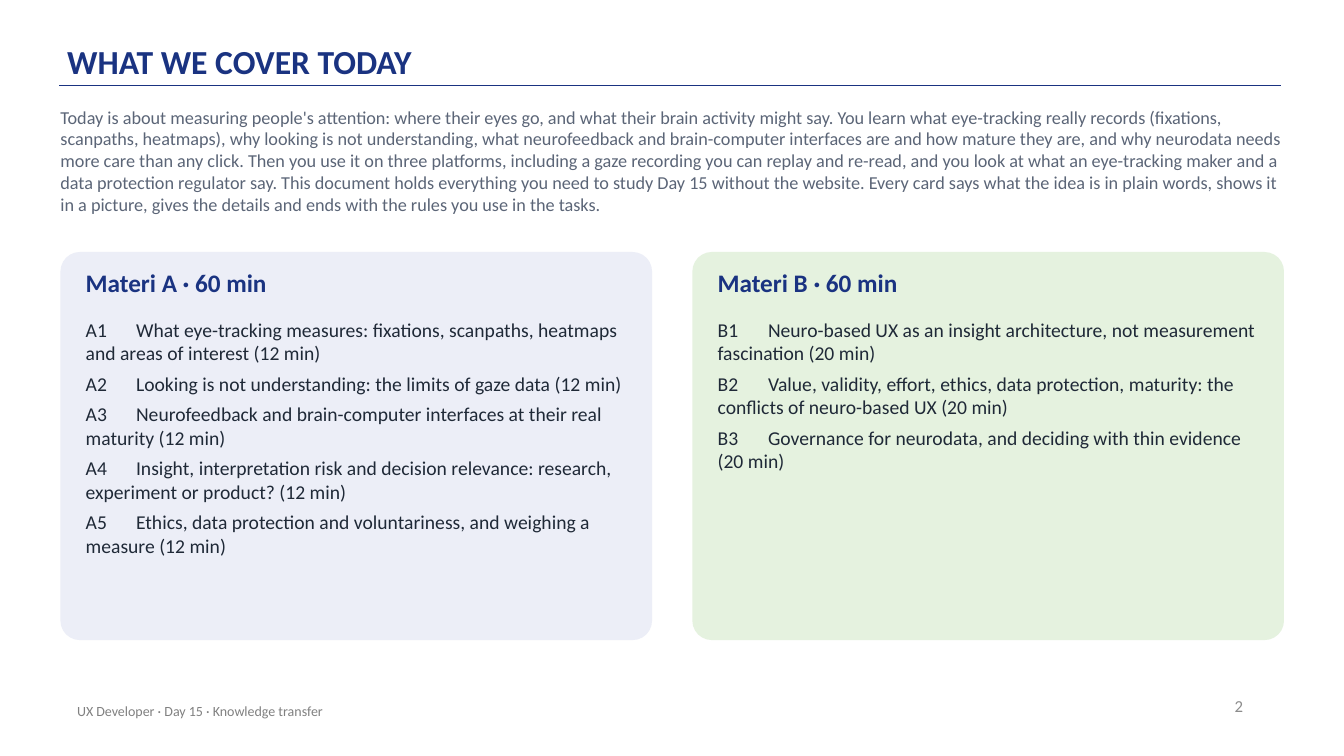
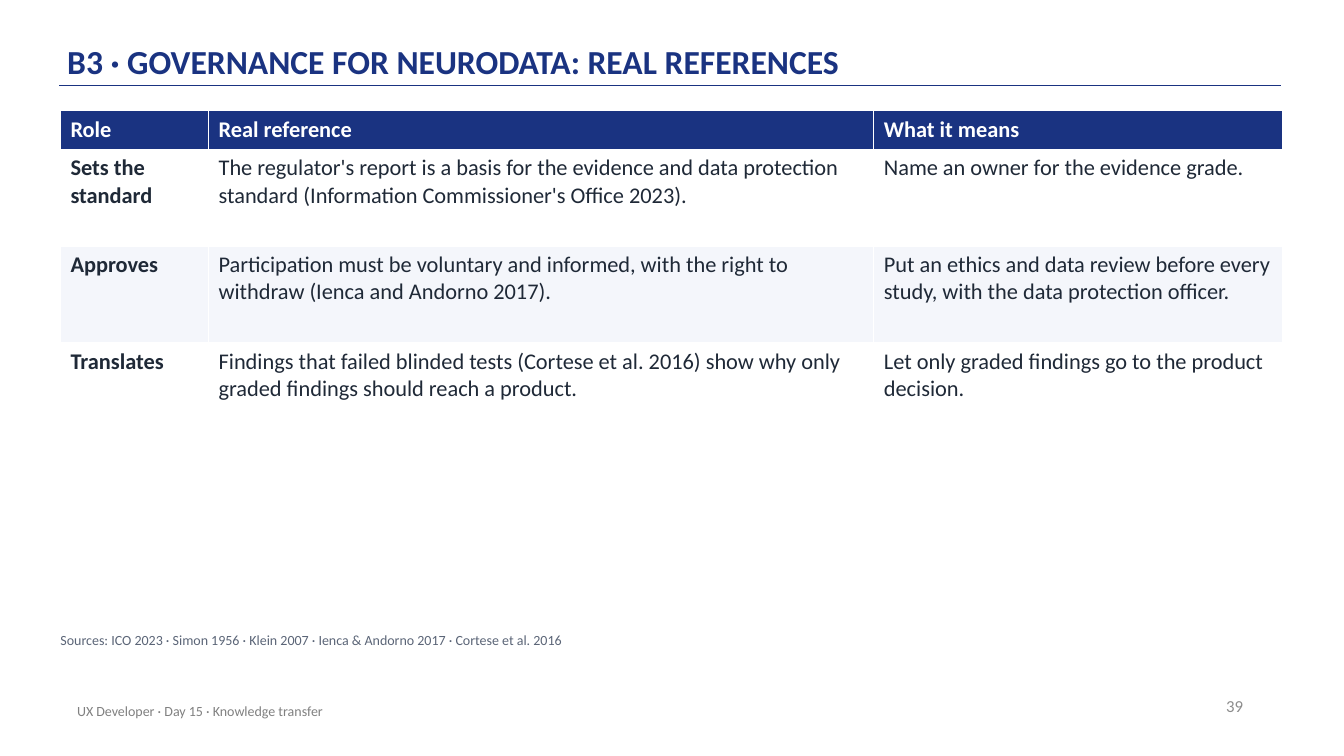
from lxml.etree import SubElement
from pptx import Presentation
from pptx.dml.color import RGBColor
from pptx.enum.shapes import MSO_CONNECTOR, MSO_SHAPE
from pptx.enum.text import MSO_ANCHOR, MSO_AUTO_SIZE, PP_ALIGN
from pptx.oxml.ns import qn
from pptx.util import Pt

COLORS = {
    "navy": "1A3381",
    "ink": "1F2937",
    "slate": "5B6577",
    "footer": "808080",
    "number": "8C8C8C",
    "white": "FFFFFF",
    "stripe": "F4F6FB",
    "lavender": "ECEEF7",
    "mint": "E5F2DF",
}
FONT = "Calibri"
LEFT, CONTENT_WIDTH = 43.2, 871.2
CARD_TOP, CARD_WIDTH, CARD_HEIGHT, CARD_GAP, CARD_PAD = 180, 422.6, 277.2, 28.8, 18
CODE_TAB = 21.5
TITLE_ONLY, COMPARISON = 5, 4

INTRO = (
    "Today is about measuring people's attention: where their eyes go, and what their brain "
    "activity might say. You learn what eye-tracking really records (fixations, scanpaths, "
    "heatmaps), why looking is not understanding, what neurofeedback and brain-computer "
    "interfaces are and how mature they are, and why neurodata needs more care than any click. "
    "Then you use it on three platforms, including a gaze recording you can replay and re-read, "
    "and you look at what an eye-tracking maker and a data protection regulator say. This "
    "document holds everything you need to study Day 15 without the website. Every card says "
    "what the idea is in plain words, shows it in a picture, gives the details and ends with "
    "the rules you use in the tasks."
)
MODULES = [
    ("Materi A · 60 min", "lavender", [
        ("A1", "What eye-tracking measures: fixations, scanpaths, heatmaps and areas of interest (12 min)"),
        ("A2", "Looking is not understanding: the limits of gaze data (12 min)"),
        ("A3", "Neurofeedback and brain-computer interfaces at their real maturity (12 min)"),
        ("A4", "Insight, interpretation risk and decision relevance: research, experiment or product? (12 min)"),
        ("A5", "Ethics, data protection and voluntariness, and weighing a measure (12 min)"),
    ]),
    ("Materi B · 60 min", "mint", [
        ("B1", "Neuro-based UX as an insight architecture, not measurement fascination (20 min)"),
        ("B2", "Value, validity, effort, ethics, data protection, maturity: the conflicts of neuro-based UX (20 min)"),
        ("B3", "Governance for neurodata, and deciding with thin evidence (20 min)"),
    ]),
]
REFERENCES = [
    ("Role", "Real reference", "What it means"),
    ("Sets the standard",
     "The regulator's report is a basis for the evidence and data protection standard "
     "(Information Commissioner's Office 2023).",
     "Name an owner for the evidence grade."),
    ("Approves",
     "Participation must be voluntary and informed, with the right to withdraw "
     "(Ienca and Andorno 2017).",
     "Put an ethics and data review before every study, with the data protection officer."),
    ("Translates",
     "Findings that failed blinded tests (Cortese et al. 2016) show why only graded findings "
     "should reach a product.",
     "Let only graded findings go to the product decision."),
]
COLUMN_WIDTHS = [105.8, 475.2, 292.3]
ROW_HEIGHTS = [27.6, 69.1, 69.1, 49.7]


def rgb(color):
    return RGBColor.from_string(COLORS[color])


def add_run(paragraph, text, size, color, bold=False):
    run = paragraph.add_run()
    run.text = text
    run.font.name = FONT
    run.font.size = Pt(size)
    run.font.bold = bold
    run.font.color.rgb = rgb(color)


def place(shape, left, top, width, height):
    shape.left, shape.top = Pt(left), Pt(top)
    shape.width, shape.height = Pt(width), Pt(height)


def format_frame(frame, anchor=MSO_ANCHOR.TOP, inset_x=0, inset_y=0):
    frame.word_wrap = True
    frame.auto_size = MSO_AUTO_SIZE.NONE
    frame.vertical_anchor = anchor
    frame.margin_left = frame.margin_right = Pt(inset_x)
    frame.margin_top = frame.margin_bottom = Pt(inset_y)


def add_text(slide, bounds, text, size, color, align=PP_ALIGN.LEFT, **frame_format):
    label = slide.shapes.add_textbox(*map(Pt, bounds))
    format_frame(label.text_frame, **frame_format)
    paragraph = label.text_frame.paragraphs[0]
    paragraph.alignment = align
    add_run(paragraph, text, size, color)


def fill_placeholder(placeholder, bounds, lines, size, color, gap, bold=False):
    place(placeholder, *bounds)
    frame = placeholder.text_frame
    format_frame(frame)
    for index, line in enumerate(lines):
        paragraph = frame.add_paragraph() if index else frame.paragraphs[0]
        properties = paragraph._p.get_or_add_pPr()
        properties.set("marL", "0")
        properties.set("indent", "0")
        SubElement(properties, qn("a:buNone"))
        tabs = SubElement(properties, qn("a:tabLst"))
        SubElement(tabs, qn("a:tab"), pos=str(Pt(CODE_TAB)), algn="l")
        paragraph.space_before = Pt(0)
        paragraph.space_after = Pt(gap)
        add_run(paragraph, line, size, color, bold)


def add_base_slide(deck, layout, title, number):
    slide = deck.slides.add_slide(deck.slide_layouts[layout])
    rule = slide.shapes.add_connector(MSO_CONNECTOR.STRAIGHT, Pt(915), Pt(61.2), Pt(42), Pt(61.2))
    rule.line.color.rgb = rgb("navy")
    rule.line.width = Pt(1)
    SubElement(rule._element.spPr, qn("a:effectLst"))

    heading = slide.shapes.title
    place(heading, 48, 8.6, 792, 52)
    format_frame(heading.text_frame, MSO_ANCHOR.BOTTOM, inset_y=2.2)
    paragraph = heading.text_frame.paragraphs[0]
    paragraph.alignment = PP_ALIGN.LEFT
    paragraph.line_spacing = 0.9
    add_run(paragraph, title, 24, "navy", bold=True)

    margins = {"anchor": MSO_ANCHOR.MIDDLE, "inset_x": 7.2, "inset_y": 3.6}
    add_text(slide, (679, 489.6, 216, 28.8), number, 12, "number", PP_ALIGN.RIGHT, **margins)
    add_text(slide, (48, 493.2, 482.4, 28.8), "UX Developer · Day 15 · Knowledge transfer",
             10, "footer", **margins)
    return slide


def add_module(slide, index, heading, fill, topics):
    left = LEFT + index * (CARD_WIDTH + CARD_GAP)
    card = slide.shapes.add_shape(
        MSO_SHAPE.ROUNDED_RECTANGLE, Pt(left), Pt(CARD_TOP), Pt(CARD_WIDTH), Pt(CARD_HEIGHT))
    card.adjustments[0] = 0.05
    card.fill.solid()
    card.fill.fore_color.rgb = rgb(fill)
    card.line.fill.background()
    card.shadow.inherit = False

    heading_slot = slide.placeholders[1 + 2 * index]
    topics_slot = slide.placeholders[2 + 2 * index]
    heading_slot.element.addprevious(card.element)
    text_left, text_width = left + CARD_PAD, CARD_WIDTH - 2 * CARD_PAD
    fill_placeholder(heading_slot, (text_left, CARD_TOP + 10.8, text_width, 28.8),
                     [heading], 18, "navy", 6, bold=True)
    lines = [f"{code}\t{topic}" for code, topic in topics]
    fill_placeholder(topics_slot, (text_left, CARD_TOP + 46.8, text_width, 223.2),
                     lines, 14, "ink", 5)


def add_reference_table(slide):
    table = slide.shapes.add_table(
        len(REFERENCES), len(COLUMN_WIDTHS), Pt(LEFT), Pt(79.2),
        Pt(sum(COLUMN_WIDTHS)), Pt(sum(ROW_HEIGHTS))).table
    for column, width in zip(table.columns, COLUMN_WIDTHS):
        column.width = Pt(width)
    for row_index, (row, height, texts) in enumerate(zip(table.rows, ROW_HEIGHTS, REFERENCES)):
        row.height = Pt(height)
        header = row_index == 0
        fill = "navy" if header else ("white" if row_index % 2 else "stripe")
        for column_index, (cell, text) in enumerate(zip(row.cells, texts)):
            cell.fill.solid()
            cell.fill.fore_color.rgb = rgb(fill)
            add_run(cell.text_frame.paragraphs[0], text, 16,
                    "white" if header else "ink", bold=header or column_index == 0)


def main():
    deck = Presentation()
    deck.slide_width, deck.slide_height = Pt(960), Pt(540)

    overview = add_base_slide(deck, COMPARISON, "WHAT WE COVER TODAY", "2")
    add_text(overview, (LEFT, 75.6, CONTENT_WIDTH, 86.4), INTRO, 13, "slate")
    for index, module in enumerate(MODULES):
        add_module(overview, index, *module)

    governance = add_base_slide(
        deck, TITLE_ONLY, "B3 · GOVERNANCE FOR NEURODATA: REAL REFERENCES", "39")
    add_reference_table(governance)
    add_text(governance, (LEFT, 451.4, CONTENT_WIDTH, 21.6),
             "Sources: ICO 2023 · Simon 1956 · Klein 2007 · Ienca & Andorno 2017 · Cortese et al. 2016",
             10, "slate")

    deck.save("out.pptx")


if __name__ == "__main__":
    main()
